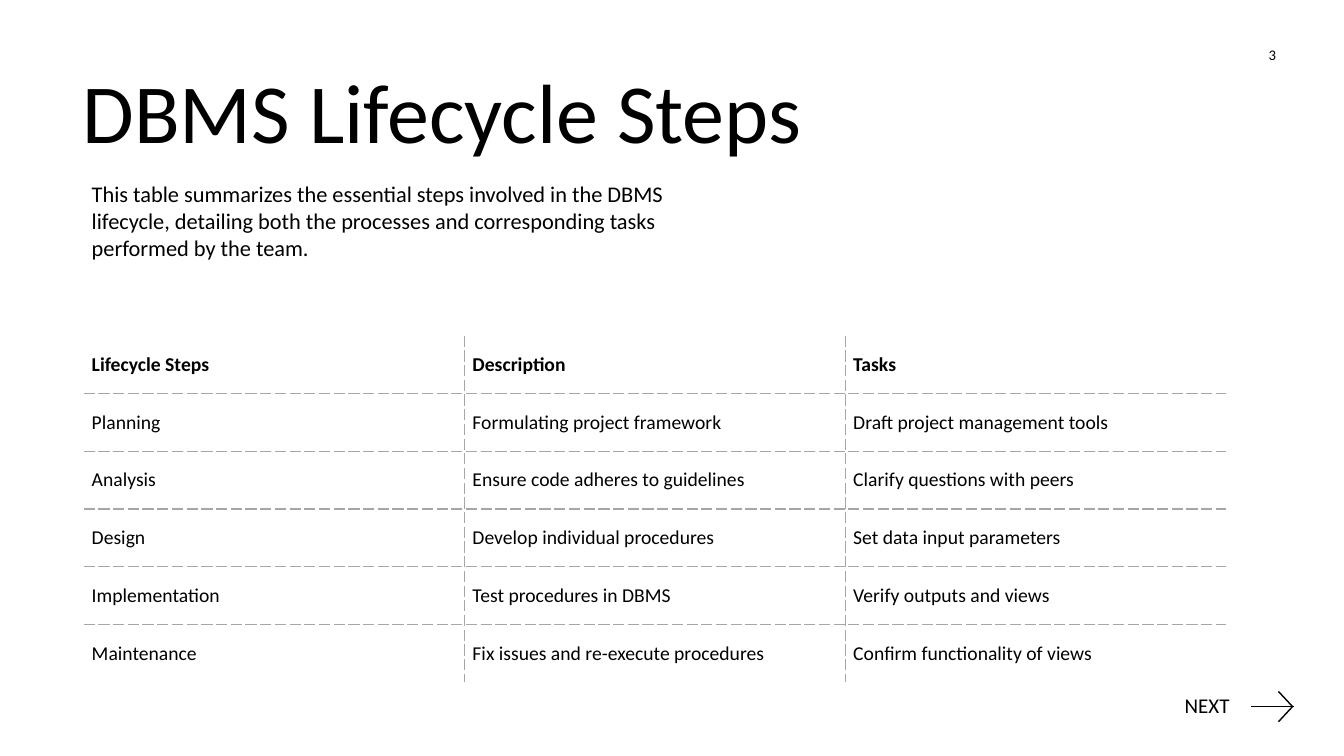
from dataclasses import dataclass

from lxml.etree import SubElement
from pptx import Presentation
from pptx.dml.color import RGBColor
from pptx.enum.shapes import MSO_CONNECTOR
from pptx.enum.text import MSO_ANCHOR, MSO_AUTO_SIZE, PP_ALIGN
from pptx.oxml.ns import qn
from pptx.util import Inches, Pt


@dataclass(frozen=True)
class Theme:
    font: str = "Calibri"
    ink: str = "000000"
    rule: str = "A6A6A6"
    title: float = 60
    body: float = 16
    next: float = 15
    cell: float = 14
    number: float = 10.5


THEME = Theme()

STEPS = [
    ("Lifecycle Steps", "Description", "Tasks"),
    ("Planning", "Formulating project framework", "Draft project management tools"),
    ("Analysis", "Ensure code adheres to guidelines", "Clarify questions with peers"),
    ("Design", "Develop individual procedures", "Set data input parameters"),
    ("Implementation", "Test procedures in DBMS", "Verify outputs and views"),
    ("Maintenance", "Fix issues and re-execute procedures", "Confirm functionality of views"),
]


def place(sp, box):
    sp.left, sp.top, sp.width, sp.height = (Inches(v) for v in box)


def write(tf, text, size, bold=False, align=PP_ALIGN.LEFT):
    tf.text = text
    p = tf.paragraphs[0]
    p.alignment = align
    p.space_before = Pt(0)
    font = p.runs[0].font
    font.name, font.size, font.bold = THEME.font, Pt(size), bold
    font.color.rgb = RGBColor.from_string(THEME.ink)
    return p


def fill_placeholder(sp, box, text, size, anchor):
    place(sp, box)
    tf = sp.text_frame
    tf.auto_size = MSO_AUTO_SIZE.NONE
    tf.vertical_anchor = anchor
    return write(tf, text, size)


def add_title(slide, box):
    fill_placeholder(slide.shapes.title, box, "DBMS Lifecycle Steps",
                     THEME.title, MSO_ANCHOR.TOP)


def add_summary(slide, box):
    p = fill_placeholder(
        slide.placeholders[1], box,
        "This table summarizes the essential steps involved in the DBMS lifecycle, "
        "detailing both the processes and corresponding tasks performed by the team.",
        THEME.body, MSO_ANCHOR.MIDDLE)
    pPr = p._p.get_or_add_pPr()
    pPr.set("marL", "0")
    pPr.set("indent", "0")
    pPr.insert_element_before(pPr.makeelement(qn("a:buNone")), "a:tabLst", "a:defRPr")


def add_page_number(slide, box):
    sp = slide.shapes.add_textbox(0, 0, 0, 0)
    place(sp, box)
    tf = sp.text_frame
    tf.word_wrap = True
    tf.vertical_anchor = MSO_ANCHOR.MIDDLE
    write(tf, "3", THEME.number, align=PP_ALIGN.CENTER)


def set_border(cell, side, visible):
    ln = SubElement(cell._tc.get_or_add_tcPr(), qn(f"a:ln{side}"),
                    w=str(Pt(1) if visible else 0))
    if not visible:
        SubElement(ln, qn("a:noFill"))
        return
    SubElement(SubElement(ln, qn("a:solidFill")), qn("a:srgbClr"), val=THEME.rule)
    SubElement(ln, qn("a:prstDash"), val="sysDash")


def add_steps_table(slide, box):
    rows, cols = len(STEPS), len(STEPS[0])
    table = slide.shapes.add_table(rows, cols, *(Inches(v) for v in box)).table
    table.first_row = table.horz_banding = False
    for r, step in enumerate(STEPS):
        for c, text in enumerate(step):
            cell = table.cell(r, c)
            cell.margin_left = cell.margin_right = Inches(0.08)
            cell.margin_top = cell.margin_bottom = Inches(0.08)
            cell.vertical_anchor = MSO_ANCHOR.MIDDLE
            write(cell.text_frame, text, THEME.cell, bold=r == 0)
            inner = {"L": c > 0, "R": c < cols - 1, "T": r > 0, "B": r < rows - 1}
            for side, visible in inner.items():
                set_border(cell, side, visible)
            cell.fill.background()


def add_line(slide, x1, y1, x2, y2):
    line = slide.shapes.add_connector(
        MSO_CONNECTOR.STRAIGHT, *(Inches(v) for v in (x1, y1, x2, y2)))
    line.line.color.rgb = RGBColor.from_string(THEME.ink)
    line.line.width = Pt(1)
    SubElement(line._element.spPr, qn("a:effectLst"))


def add_next(slide, box):
    x, y, w, h = box
    sp = slide.shapes.add_textbox(0, 0, 0, 0)
    place(sp, (x, y, 0.83, h))
    tf = sp.text_frame
    tf.word_wrap = True
    tf.margin_left = tf.margin_right = Inches(0.04)
    write(tf, "NEXT", THEME.next).line_spacing = 0.9

    tip, mid, barb = x + w, y + 0.16, 0.15
    add_line(slide, tip - 0.42, mid, tip, mid)
    for dy in (-barb, barb):
        add_line(slide, tip - barb, mid + dy, tip - 0.01, mid)


def main():
    prs = Presentation()
    prs.slide_width, prs.slide_height = Inches(13.33), Inches(7.5)
    slide = prs.slides.add_slide(prs.slide_layouts[1])
    add_next(slide, (11.71, 6.85, 1.12, 0.33))
    add_steps_table(slide, (0.83, 3.33, 11.33, 3.44))
    add_title(slide, (0.72, 0.54, 11.42, 1.44))
    add_summary(slide, (0.81, 1.76, 6.6, 0.86))
    add_page_number(slide, (12.42, 0.35, 0.4, 0.39))
    prs.save("out.pptx")


if __name__ == "__main__":
    main()
